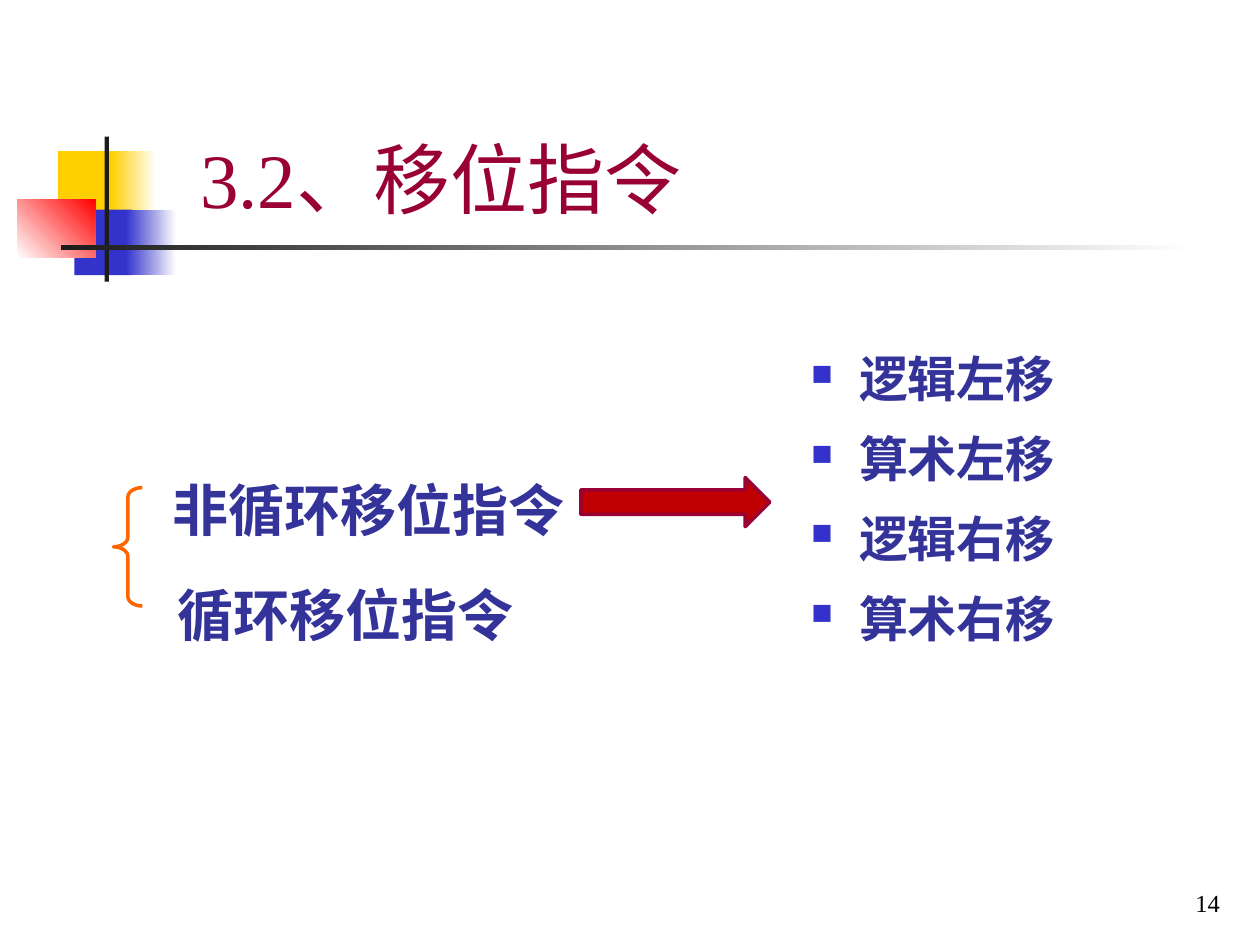
from dataclasses import dataclass

from lxml import etree
from pptx import Presentation
from pptx.dml.color import RGBColor
from pptx.enum.shapes import MSO_SHAPE
from pptx.enum.text import MSO_ANCHOR, PP_ALIGN
from pptx.oxml.ns import qn
from pptx.util import Emu, Inches, Pt

RECT = MSO_SHAPE.RECTANGLE
BRACE = MSO_SHAPE.LEFT_BRACE
ARROW = MSO_SHAPE.RIGHT_ARROW
TOP, BOTTOM = MSO_ANCHOR.TOP, MSO_ANCHOR.BOTTOM
LEFT, RIGHT = PP_ALIGN.LEFT, PP_ALIGN.RIGHT
WIDTH, HEIGHT = Inches(10), Inches(7.5)


@dataclass(frozen=True)
class Theme:
    font: str = "Times New Roman"
    white: str = "FFFFFF"
    black: str = "000000"
    ink: str = "1C1C1C"
    yellow: str = "FFCF01"
    blue: str = "3333CC"
    red: str = "FF0000"
    crimson: str = "990033"
    navy: str = "333399"
    orange: str = "FF6600"
    arrow: str = "C00000"
    title_size: int = 44
    topic_size: int = 32
    item_size: int = 28
    number_size: int = 14


@dataclass(frozen=True)
class Box:
    """Left, top, width and height as percentages of the slide."""
    x: float
    y: float
    w: float
    h: float

    def emu(self) -> tuple[Emu, Emu, Emu, Emu]:
        return (Emu(int(WIDTH * self.x / 100)), Emu(int(HEIGHT * self.y / 100)),
                Emu(int(WIDTH * self.w / 100)), Emu(int(HEIGHT * self.h / 100)))


@dataclass(frozen=True)
class Block:
    """A filled rectangle, fading to a second colour if one is given."""
    box: Box
    color: str
    fade: str = ""
    angle: float = 0


@dataclass(frozen=True)
class Style:
    size: int
    color: str
    bold: bool = False
    align: PP_ALIGN = LEFT
    anchor: MSO_ANCHOR = TOP
    line_spacing: float = 1.0
    before: float = 0
    after: float = 0
    bullet: str = ""


@dataclass(frozen=True)
class Line:
    text: str
    margin: float = 0


THEME = Theme()

DECORATION = (
    Block(Box(4.6, 16, 4.8, 6.93), THEME.yellow),
    Block(Box(8.8, 16, 3.6, 6.93), THEME.yellow, THEME.white),
    Block(Box(5.9, 22.2, 4.6, 6.93), THEME.blue),
    Block(Box(10, 22.2, 4, 6.93), THEME.blue, THEME.white),
    Block(Box(1.35, 21.07, 6.2, 6.2), THEME.white, THEME.red, 45),
    Block(Box(8.3, 14.45, 0.35, 15.35), THEME.ink),
    Block(Box(4.85, 25.95, 90, 0.5), THEME.ink, THEME.white),
)

TITLE = Style(THEME.title_size, THEME.crimson, anchor=BOTTOM)
TOPIC = Style(THEME.topic_size, THEME.navy, bold=True, line_spacing=1.1,
              before=6, after=12)
ITEM = Style(THEME.item_size, THEME.navy, bold=True, line_spacing=1.15,
             before=5.2, after=1.8, bullet="■")
NUMBER = Style(THEME.number_size, THEME.black, align=RIGHT, anchor=BOTTOM)


def rgb(color: str) -> RGBColor:
    return RGBColor.from_string(color)


def add_block(slide, block: Block) -> None:
    s = slide.shapes.add_shape(RECT, *block.box.emu())
    s.shadow.inherit = False
    s.line.fill.background()
    if not block.fade:
        s.fill.solid()
        s.fill.fore_color.rgb = rgb(block.color)
        return
    s.fill.gradient()
    s.fill.gradient_angle = block.angle
    for stop, color, place in zip(s.fill.gradient_stops,
                                  (block.color, block.fade), (0, 1)):
        stop.color.rgb = rgb(color)
        stop.position = place


def add_outlined(slide, kind: MSO_SHAPE, box: Box, line: str,
                 adjustments: tuple[float, float], fill: str = "") -> None:
    s = slide.shapes.add_shape(kind, *box.emu())
    s.shadow.inherit = False
    for i, value in enumerate(adjustments):
        s.adjustments[i] = value
    if fill:
        s.fill.solid()
        s.fill.fore_color.rgb = rgb(fill)
    else:
        s.fill.background()
    s.line.color.rgb = rgb(line)
    s.line.width = Pt(2)


def add_bullet(p, char: str) -> None:
    pPr = p._p.get_or_add_pPr()
    color = etree.SubElement(pPr, qn("a:buClr"))
    etree.SubElement(color, qn("a:srgbClr"), val=THEME.blue)
    etree.SubElement(pPr, qn("a:buSzPct"), val="60000")
    etree.SubElement(pPr, qn("a:buChar"), char=char)


def add_text(slide, box: Box, style: Style, lines: tuple[Line, ...]) -> None:
    tf = slide.shapes.add_textbox(*box.emu()).text_frame
    tf.word_wrap = True
    tf.vertical_anchor = style.anchor
    for i, line in enumerate(lines):
        p = tf.add_paragraph() if i else tf.paragraphs[0]
        p.alignment = style.align
        p.line_spacing = style.line_spacing
        p.space_before = Pt(style.before if i else 0)
        p.space_after = Pt(style.after)
        pPr = p._p.get_or_add_pPr()
        pPr.set("marL", str(Inches(line.margin)))
        if style.bullet:
            pPr.set("indent", str(-Inches(line.margin)))
            add_bullet(p, style.bullet)
        r = p.add_run()
        r.text = line.text
        r.font.name = THEME.font
        r.font.size = Pt(style.size)
        r.font.bold = style.bold
        r.font.color.rgb = rgb(style.color)


def main() -> None:
    prs = Presentation()
    prs.slide_width, prs.slide_height = WIDTH, HEIGHT
    slide = prs.slides.add_slide(prs.slide_layouts[6])
    for block in DECORATION:
        add_block(slide, block)
    add_text(slide, Box(14.9, 3.07, 45.3, 21.33), TITLE, (Line("3.2、移位指令"),))
    add_text(slide, Box(9.8, 48.93, 65.4, 26.27), TOPIC,
             (Line("非循环移位指令", 0.29), Line("循环移位指令", 0.33)))
    add_outlined(slide, BRACE, Box(9, 51.6, 2.3, 12.53), THEME.orange, (0.33, 0.5))
    add_text(slide, Box(77, 91.07, 20.8, 6.67), NUMBER, (Line("14"),))
    items = ("逻辑左移", "算术左移", "逻辑右移", "算术右移")
    add_text(slide, Box(63.4, 35.33, 36, 51.07), ITEM,
             tuple(Line(item, 0.38) for item in items))
    add_outlined(slide, ARROW, Box(46.1, 50.53, 15, 5.2), THEME.crimson,
                 (0.5, 0.5), THEME.arrow)
    prs.save("out.pptx")


if __name__ == "__main__":
    main()
